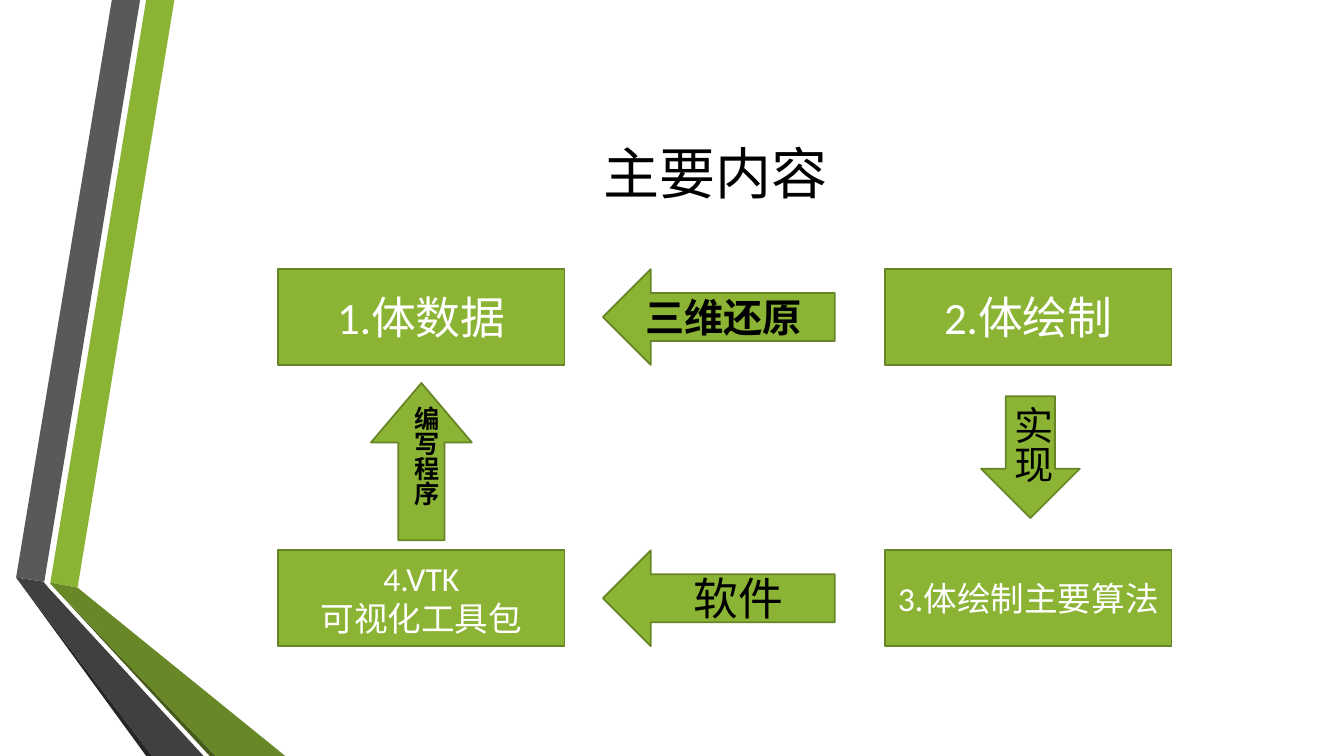
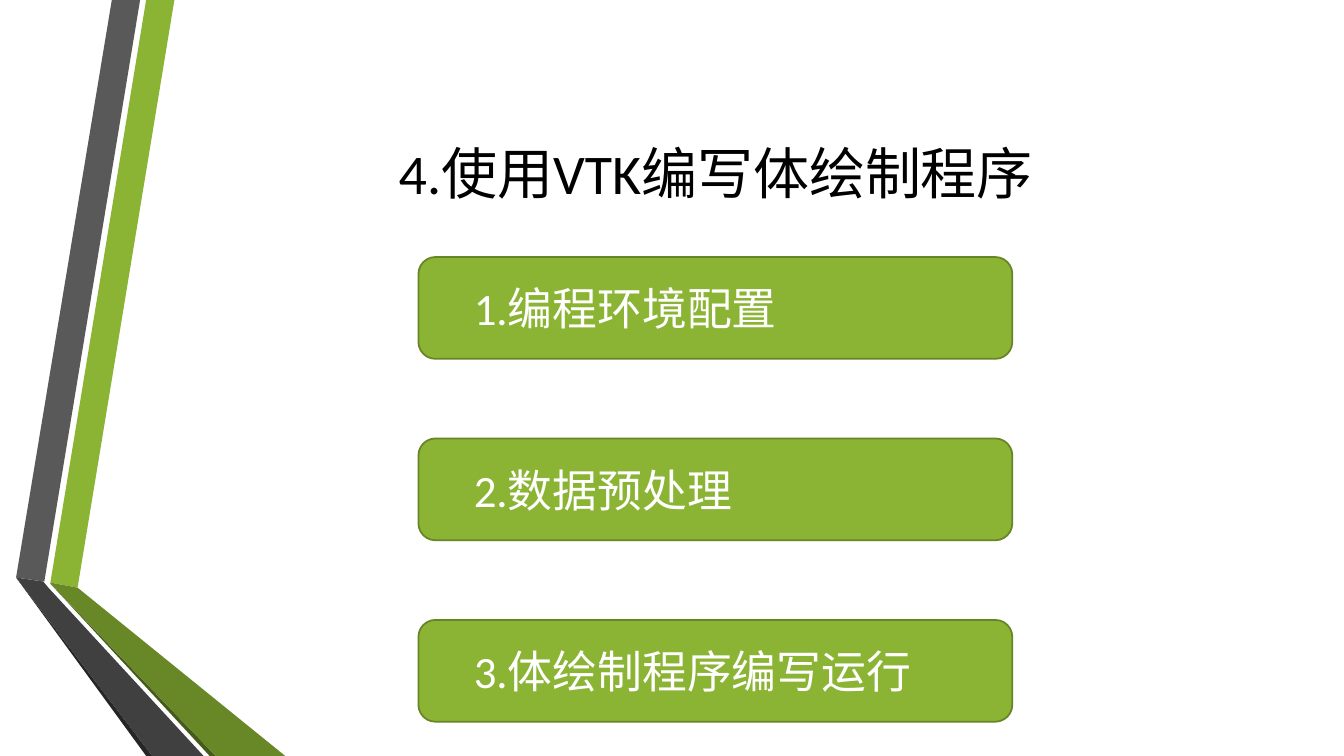
"""Build two slides on volume rendering: the topic cycle and the VTK programming steps."""
from pptx import Presentation
from pptx.dml.color import RGBColor
from pptx.enum.shapes import MSO_SHAPE as SHAPE
from pptx.enum.text import MSO_ANCHOR as ANCHOR, PP_ALIGN as ALIGN
from pptx.util import Inches, Pt

COLORS = {
    "green": "8BB434", "outline": "678526", "olive": "688727", "moss": "465A1A",
    "gray": "595959", "charcoal": "404040", "shadow": "262626",
    "black": "000000", "white": "FFFFFF",
}
FONT = "Calibri"
RIBBONS = [
    ("green", [(0.5, 5.78), (0.77, 5.83), (1.73, 0), (1.45, 0)]),
    ("gray", [(1.39, 0), (1.11, 0), (0.16, 5.73), (0.44, 5.77)]),
    ("shadow", [(0.16, 5.73), (1.45, 7.5), (1.51, 7.5)]),
    ("moss", [(0.5, 5.79), (2.08, 7.5), (2.14, 7.5)]),
    ("olive", [(0.5, 5.79), (2.14, 7.5), (2.83, 7.5), (0.77, 5.83), (0.5, 5.78)]),
    ("charcoal", [(2.02, 7.5), (0.48, 5.83), (0.43, 5.77), (0.16, 5.73), (1.51, 7.5)]),
]


def add_text(s, box, text, size, color="black", align=ALIGN.LEFT, bold=False,
             anchor=ANCHOR.TOP, shape=None, vertical=False):
    """Add a text box, or a filled preset shape when one is given."""
    box = [Inches(v) for v in box]
    if shape is None:
        sp = s.shapes.add_textbox(*box)
    else:
        sp = s.shapes.add_shape(shape, *box)
        sp.shadow.inherit = False
        sp.fill.solid()
        sp.fill.fore_color.rgb = RGBColor.from_string(COLORS["green"])
        sp.line.color.rgb = RGBColor.from_string(COLORS["outline"])
        sp.line.width = Pt(1.25)
    tf = sp.text_frame
    tf.word_wrap = True
    tf.vertical_anchor = anchor
    tf.text = text
    if vertical:
        tf._txBody.bodyPr.set("vert", "eaVert")
    for p in tf.paragraphs:
        p.alignment = align
        p.font.name = FONT
        p.font.size = Pt(size)
        p.font.bold = bold
        p.font.color.rgb = RGBColor.from_string(COLORS[color])
    return sp


def add_slide(prs, title):
    """Add a slide with the folded ribbons and a centred title."""
    s = prs.slides.add_slide(prs.slide_layouts[6])
    for color, points in RIBBONS:
        start, *rest = [(Inches(x), Inches(y)) for x, y in points]
        builder = s.shapes.build_freeform(*start)
        builder.add_line_segments(rest, close=True)
        sp = builder.convert_to_shape()
        sp.shadow.inherit = False
        sp.fill.solid()
        sp.fill.fore_color.rgb = RGBColor.from_string(COLORS[color])
        sp.line.fill.background()
    add_text(s, (1.62, 0.75, 10.96, 1.92), title, 40, align=ALIGN.CENTER, anchor=ANCHOR.MIDDLE)
    return s


prs = Presentation()
prs.slide_width, prs.slide_height = Inches(13.33), Inches(7.5)

s = add_slide(prs, "主要内容")
LEFT, RIGHT, TOP, BOTTOM = 2.76, 8.78, 2.67, 5.46
for x, y, text, size in [
    (LEFT, TOP, "1.体数据", 32),
    (RIGHT, TOP, "2.体绘制", 32),
    (RIGHT, BOTTOM, "3.体绘制主要算法", 24),
    (LEFT, BOTTOM, "4.VTK\n可视化工具包", 24),
]:
    add_text(s, (x, y, 2.84, 0.95), text, size, "white", ALIGN.CENTER,
             anchor=ANCHOR.MIDDLE, shape=SHAPE.RECTANGLE)

for shape, box, adjust, label_box, label, size, bold, vertical in [
    (SHAPE.LEFT_ARROW, (5.98, TOP, 2.3, 0.95), (0.5, 0.5),
     (6.3, 2.86, 1.98, 0.57), "三维还原", 28, True, False),
    (SHAPE.DOWN_ARROW, (9.73, 3.93, 0.98, 1.21), (0.5, 0.5),
     (9.86, 3.93, 0.67, 1.12), "实现", 28, False, True),
    (SHAPE.LEFT_ARROW, (5.98, BOTTOM, 2.3, 0.95), (0.5, 0.5),
     (6.78, 5.61, 1.75, 0.64), "软件", 32, False, False),
    (SHAPE.UP_ARROW, (3.68, 3.8, 1, 1.56), (0.46, 0.59),
     (3.93, 3.93, 0.5, 1.6), "编写程序", 18, True, True),
]:
    arrow = add_text(s, box, "", size, shape=shape)
    arrow.adjustments[0], arrow.adjustments[1] = adjust
    add_text(s, label_box, label, size, bold=bold, vertical=vertical)

s = add_slide(prs, "4.使用VTK编写体绘制程序")
for i, step in enumerate(["1.编程环境配置", "2.数据预处理", "3.体绘制程序编写运行"]):
    sp = add_text(s, (4.15, 2.55 + 1.8 * i, 5.89, 1.01), step, 32, "white",
                  anchor=ANCHOR.MIDDLE, shape=SHAPE.ROUNDED_RECTANGLE)
    sp.text_frame.margin_left = Inches(0.5)

prs.save("out.pptx")
